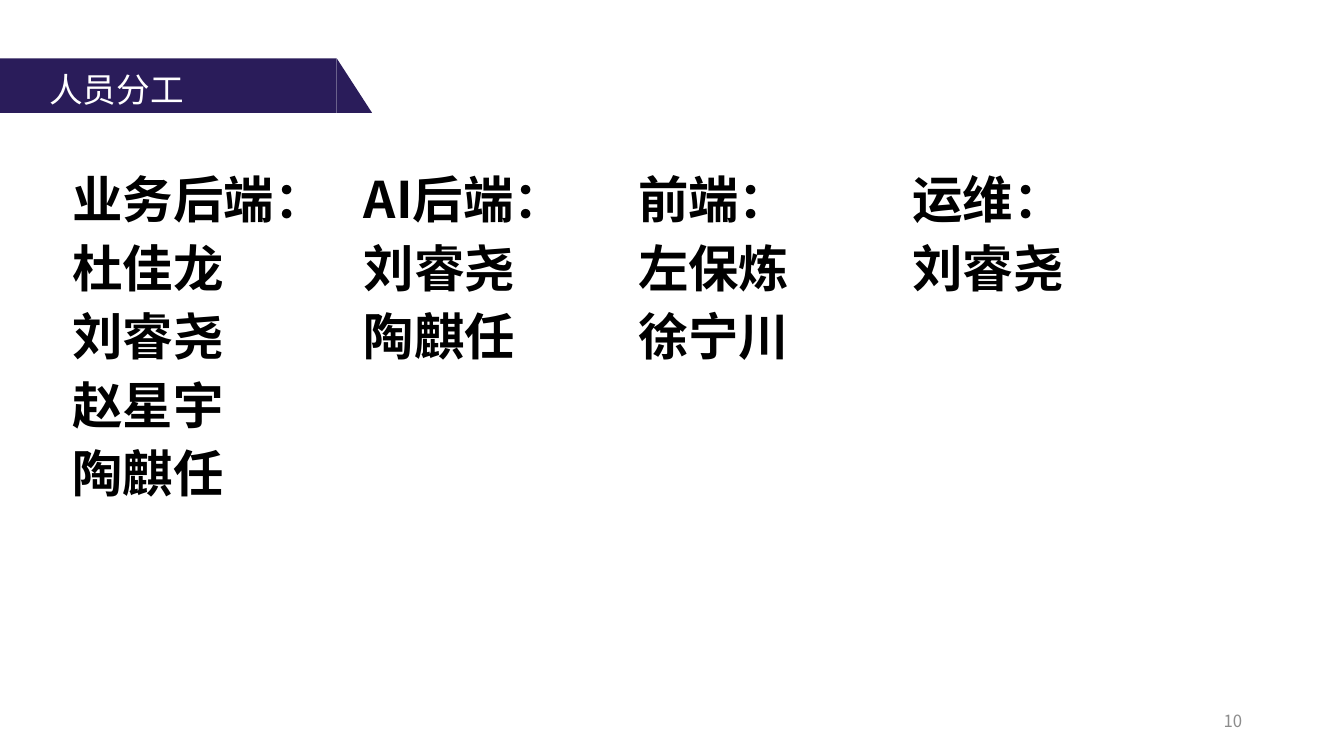
from lxml.etree import SubElement
from pptx import Presentation
from pptx.dml.color import RGBColor
from pptx.enum.shapes import MSO_SHAPE
from pptx.enum.text import MSO_ANCHOR, PP_ALIGN
from pptx.oxml.ns import qn
from pptx.util import Inches, Pt

# Content
HEADING = "人员分工"
PAGE_NUMBER = "10"
TEAMS = [
    ("业务后端：", "杜佳龙", "刘睿尧", "赵星宇", "陶麒任"),
    ("AI后端：", "刘睿尧", "陶麒任"),
    ("前端：", "左保炼", "徐宁川"),
    ("运维：", "刘睿尧"),
]

# Look and grid, in inches
FONT = "Noto Sans CJK SC"
PURPLE, WHITE, BLACK, GREY = "2A1C5A", "FFFFFF", "000000", "8C8C8C"
WIDTH, HEIGHT = 13.33, 7.5
BANNER_TOP, BANNER_WIDTH, BANNER_HEIGHT, TIP_WIDTH = 0.58, 3.34, 0.54, 0.35
FIRST_LEFT, SECOND_LEFT, COLUMN = 0.62, 3.51, 2.72
TEAM_TOP, TEAM_HEIGHT = 1.69, 4.85

prs = Presentation()
prs.slide_width, prs.slide_height = Inches(WIDTH), Inches(HEIGHT)
slide = prs.slides.add_slide(prs.slide_layouts[6])


def color(value):
    return RGBColor.from_string(value)


def add_text(lines, box, size, fill, bold=False, align=PP_ALIGN.LEFT,
             anchor=MSO_ANCHOR.TOP, spacing=None, before=0):
    frame = slide.shapes.add_textbox(*map(Inches, box)).text_frame
    frame.word_wrap = True
    frame.vertical_anchor = anchor
    for index, line in enumerate(lines):
        paragraph = frame.paragraphs[0] if index == 0 else frame.add_paragraph()
        paragraph.alignment = align
        if spacing:
            paragraph.line_spacing = spacing
        if index and before:
            paragraph.space_before = Pt(before)
        run = paragraph.add_run()
        run.text = line
        run.font.size, run.font.bold, run.font.name = Pt(size), bold, FONT
        run.font.color.rgb = color(fill)
        SubElement(run.font._element, qn("a:ea")).set("typeface", FONT)


def add_banner_part(kind, left, width):
    part = slide.shapes.add_shape(
        kind, *map(Inches, (left, BANNER_TOP, width, BANNER_HEIGHT)))
    part.shadow.inherit = False
    part.fill.solid()
    part.fill.fore_color.rgb = color(PURPLE)
    part.line.fill.background()


# Heading banner
add_banner_part(MSO_SHAPE.RECTANGLE, 0, BANNER_WIDTH)
add_banner_part(MSO_SHAPE.RIGHT_TRIANGLE, BANNER_WIDTH, TIP_WIDTH)
add_text([HEADING], (0.39, 0.63, 2.85, 0.5), 24, WHITE)

# Page number
add_text([PAGE_NUMBER], (9.42, 6.95, 3, 0.4), 12, GREY,
         align=PP_ALIGN.RIGHT, anchor=MSO_ANCHOR.MIDDLE)

# Team columns: the last three stand side by side
for index, team in enumerate(TEAMS):
    left = SECOND_LEFT + (index - 1) * COLUMN if index else FIRST_LEFT
    add_text(team, (left, TEAM_TOP, COLUMN, TEAM_HEIGHT), 36, BLACK,
             bold=True, spacing=0.9, before=10)

prs.save("out.pptx")
